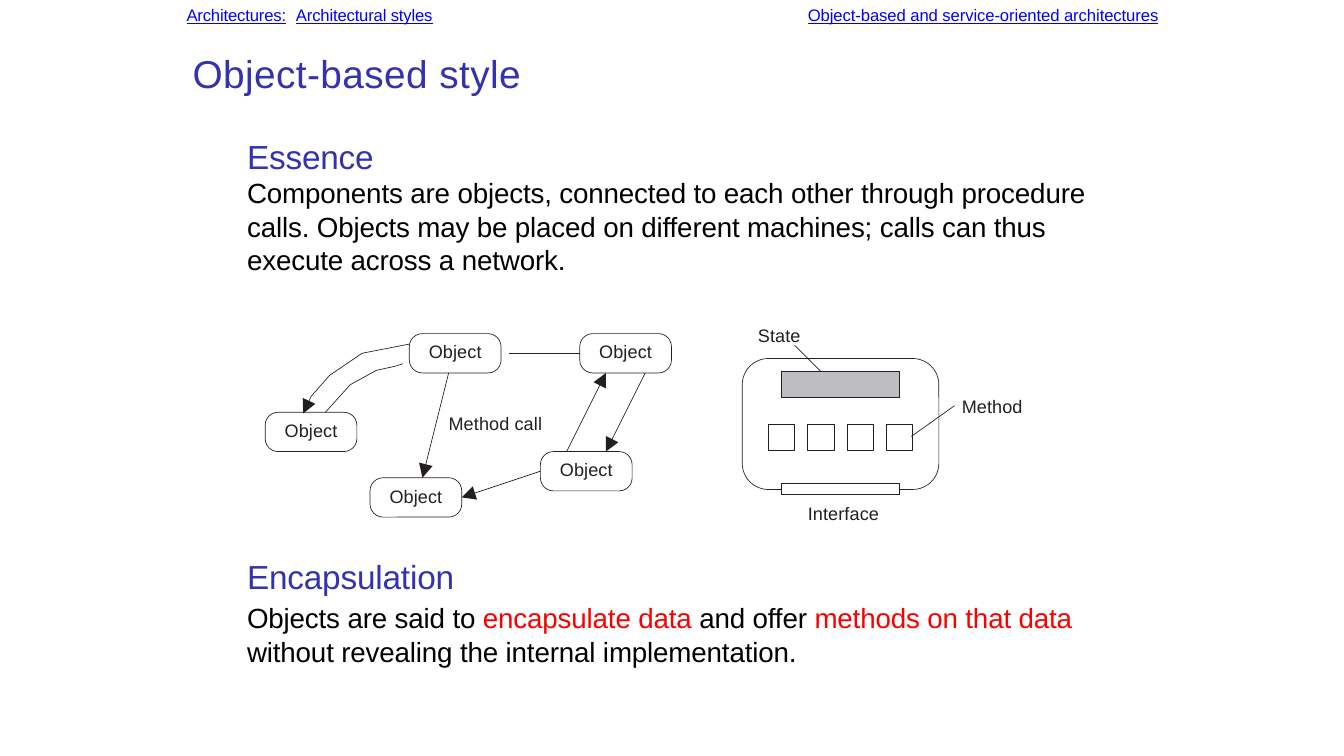
from lxml import etree
from pptx import Presentation
from pptx.dml.color import RGBColor
from pptx.enum.shapes import MSO_CONNECTOR, MSO_SHAPE
from pptx.enum.text import MSO_ANCHOR, PP_ALIGN
from pptx.oxml.ns import qn
from pptx.util import Inches, Pt

STRAIGHT = MSO_CONNECTOR.STRAIGHT
RECTANGLE = MSO_SHAPE.RECTANGLE
ROUNDED = MSO_SHAPE.ROUNDED_RECTANGLE
MIDDLE = MSO_ANCHOR.MIDDLE
LEFT = PP_ALIGN.LEFT

INDIGO = RGBColor(0x33, 0x33, 0xB2)
LINK_BLUE = RGBColor(0x00, 0x00, 0xFF)
BLACK = RGBColor(0x00, 0x00, 0x00)
RED = RGBColor(0xFA, 0x00, 0x00)
INK = RGBColor(0x23, 0x1F, 0x20)
GRAY = RGBColor(0xBC, 0xBE, 0xC0)
WHITE = RGBColor(0xFF, 0xFF, 0xFF)

FONT = "Arial"
LINE_WIDTH = Pt(0.47)
CELL = 0.13
DIAGRAM_COLUMN, DIAGRAM_ROW = 20.23, 25.46
COMPONENT_COLUMN, COMPONENT_ROW = 36.4, 1.9
OBJECTS = [(11, 0), (0, 6), (8, 11), (21, 9), (24, 0)]
ARROWS = [
    ((14, 3), (12, 11)),
    ((21, 10.5), (15, 12.5)),
    ((23, 9), (26, 3)),
    ((29, 3), (26, 9)),
]
PLAIN_LINES = [
    ((24, 1.5), (18.6, 1.5)),
    ((40.4, 0.9), (42.4, 2.9)),
    ((52.6, 5.5), (49.3, 7.85)),
]
CALL_CURVE = [(11, 0.8), (7.4, 1.5), (4.9, 3.2), (3.5, 4.8), (2.9, 6.1)]
RETURN_CURVE = [(4.6, 6), (6.5, 3.9), (8.5, 2.8), (9.9, 2.5), (10.5, 2.3)]
LABELS = [
    ("Method call", 14, 6, 8),
    ("State", 37.6, -0.7, 4),
    ("Method", 53.15, 4.7, 6),
    ("Interface", 41.4, 12.85, 7),
]


def cells(count):
    return Inches(count * CELL)


def diagram_point(column, row):
    return cells(DIAGRAM_COLUMN + column), cells(DIAGRAM_ROW + row)


def style_font(font, size, color):
    font.name = FONT
    font.size = Pt(size)
    font.color.rgb = color


def add_run(paragraph, text, spacing):
    run = paragraph.add_run()
    run.text = text
    run._r.get_or_add_rPr().set("spc", str(round(spacing * 100)))
    return run


def add_text_frame(slide, column, row, width, height):
    text_box = slide.shapes.add_textbox(cells(column), cells(row), cells(width), cells(height))
    frame = text_box.text_frame
    frame.word_wrap = True
    frame.margin_left = frame.margin_top = frame.margin_right = frame.margin_bottom = 0
    return frame


def fill_paragraph(paragraph, text, size, color, spacing):
    style_font(paragraph.font, size, color)
    add_run(paragraph, text, spacing)


def add_header(slide):
    paragraph = add_text_frame(slide, 14.23, 0.38, 74.4, 1.5).paragraphs[0]
    tabs = etree.SubElement(paragraph._p.get_or_add_pPr(), qn("a:tabLst"))
    etree.SubElement(tabs, qn("a:tab"), pos=str(cells(47.4)), algn="l")
    style_font(paragraph.font, 11.9, LINK_BLUE)
    for text, underlined, spacing in [
        ("Architectures:", True, -0.1),
        (" ", False, 3.7),
        ("Architectural styles", True, -0.1),
        ("\t", False, 0),
        ("Object-based and service-oriented architectures", True, -0.05),
    ]:
        add_run(paragraph, text, spacing).font.underline = underlined


def add_essence(slide):
    frame = add_text_frame(slide, 18.85, 10.46, 64.6, 10.4)
    heading = frame.paragraphs[0]
    heading.line_spacing = Pt(27.9)
    fill_paragraph(heading, "Essence", 23.8, INDIGO, -0.1)
    body = frame.add_paragraph()
    body.line_spacing = Pt(23.8)
    fill_paragraph(
        body,
        "Components are objects, connected to each other through procedure calls. "
        "Objects may be placed on different machines; calls can thus "
        "execute across a network.",
        19.8, BLACK, -0.1)


def add_encapsulation(slide):
    frame = add_text_frame(slide, 18.85, 42.46, 63.7, 8)
    fill_paragraph(frame.paragraphs[0], "Encapsulation", 23.8, INDIGO, -0.1)
    body = frame.add_paragraph()
    body.space_before = Pt(3.5)
    for text, color in [
        ("Objects are said to ", BLACK),
        ("encapsulate data ", RED),
        ("and offer ", BLACK),
        ("methods on that data ", RED),
        ("without revealing the internal implementation.", BLACK),
    ]:
        style_font(add_run(body, text, -0.1).font, 19.8, color)


def add_box(slide, preset, column, row, width, height, fill=None):
    shape = slide.shapes.add_shape(
        preset, *diagram_point(column, row), cells(width), cells(height))
    shape.shadow.inherit = False
    if fill is None:
        shape.fill.background()
    else:
        shape.fill.solid()
        shape.fill.fore_color.rgb = fill
    style_line(shape.line)
    return shape


def add_object(slide, column, row):
    shape = add_box(slide, ROUNDED, column, row, 7, 3)
    shape.adjustments[0] = 0.33
    frame = shape.text_frame
    frame.vertical_anchor = MIDDLE
    frame.margin_left = cells(1.2)
    frame.margin_top = frame.margin_right = 0
    frame.margin_bottom = cells(0.25)
    paragraph = frame.paragraphs[0]
    paragraph.alignment = LEFT
    fill_paragraph(paragraph, "Object", 12.9, INK, 0.1)


def style_line(line, arrow=False):
    line.color.rgb = INK
    line.width = LINE_WIDTH
    if arrow:
        etree.SubElement(
            line._get_or_add_ln(), qn("a:tailEnd"), type="triangle", w="lg", len="lg")


def add_straight(slide, start, end, arrow=False):
    connector = slide.shapes.add_connector(
        STRAIGHT, *diagram_point(*start), *diagram_point(*end))
    style_line(connector.line, arrow)
    etree.SubElement(connector._element.spPr, qn("a:effectLst"))


def add_curve(slide, points, arrow=False):
    start, *others = [diagram_point(*point) for point in points]
    builder = slide.shapes.build_freeform(*start)
    builder.add_line_segments(others, close=False)
    shape = builder.convert_to_shape()
    shape.shadow.inherit = False
    shape.fill.background()
    style_line(shape.line, arrow)


def add_component(slide):
    def part(preset, column, row, width, height, fill=None):
        return add_box(slide, preset, COMPONENT_COLUMN + column, COMPONENT_ROW + row,
                       width, height, fill)

    part(ROUNDED, 0, 0, 15, 10).adjustments[0] = 0.2
    part(RECTANGLE, 3, 1, 9, 2, GRAY)
    for method in range(4):
        part(RECTANGLE, 2 + 3 * method, 5, 2, 2)
    part(RECTANGLE, 3, 9.55, 9, 0.85, WHITE)


def main():
    presentation = Presentation()
    presentation.slide_width = Inches(13.33)
    presentation.slide_height = Inches(7.5)
    slide = presentation.slides.add_slide(presentation.slide_layouts[6])

    add_header(slide)
    title = add_text_frame(slide, 14.69, 3.77, 30, 3.5)
    fill_paragraph(title.paragraphs[0], "Object-based style", 27.7, INDIGO, 0.3)
    add_essence(slide)
    for column, row in OBJECTS:
        add_object(slide, column, row)
    add_component(slide)
    for start, end in PLAIN_LINES:
        add_straight(slide, start, end)
    for start, end in ARROWS:
        add_straight(slide, start, end, arrow=True)
    add_curve(slide, CALL_CURVE, arrow=True)
    add_curve(slide, RETURN_CURVE)
    for text, column, row, width in LABELS:
        frame = add_text_frame(
            slide, DIAGRAM_COLUMN + column, DIAGRAM_ROW + row, width, 1.6)
        fill_paragraph(frame.paragraphs[0], text, 12.9, INK, 0.1)
    add_encapsulation(slide)
    presentation.save("out.pptx")


if __name__ == "__main__":
    main()
